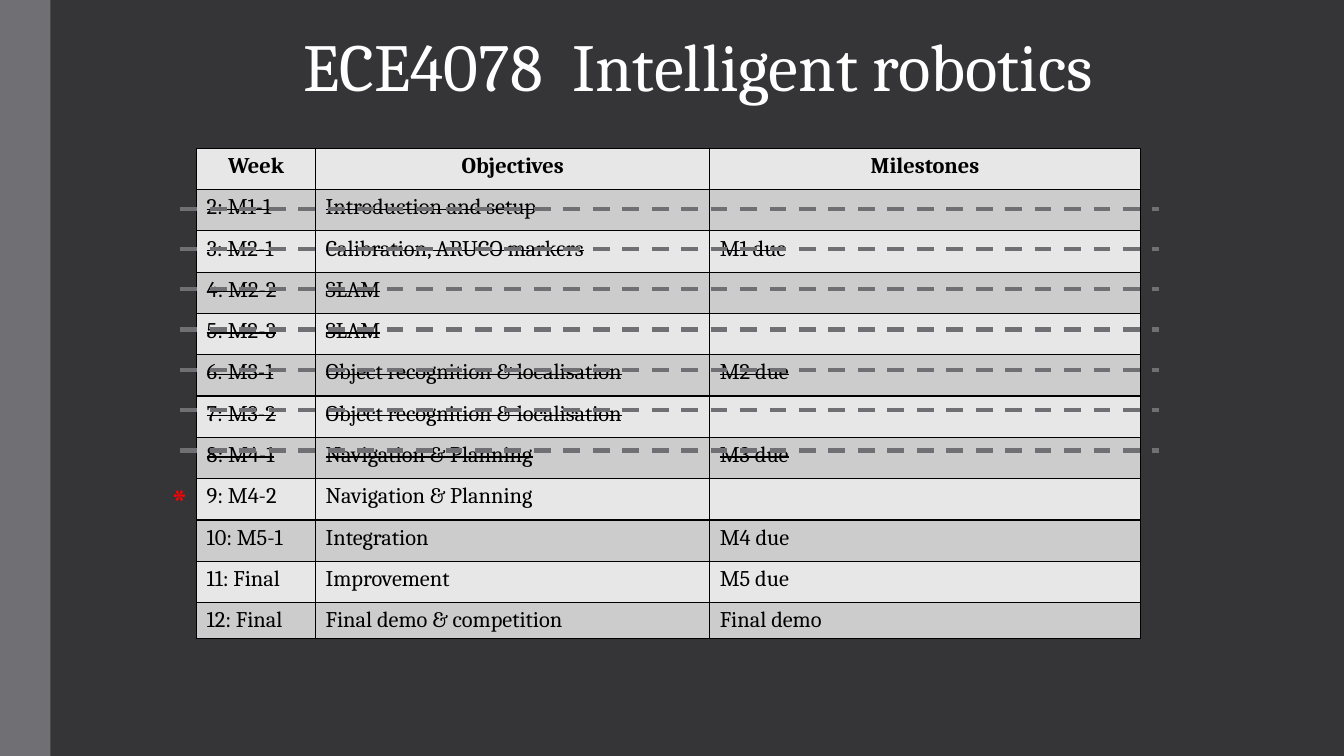
from dataclasses import dataclass

from lxml import etree
from pptx import Presentation
from pptx.dml.color import RGBColor
from pptx.enum import dml, shapes, text
from pptx.oxml.ns import qn
from pptx.util import Inches, Pt


@dataclass(frozen=True)
class Theme:
    font: str = "Cambria"
    background: str = "353537"
    accent: str = "6F6F74"
    title: str = "FFFFFF"
    ink: str = "000000"
    marker: str = "FF0000"
    bands: tuple = ("E7E7E7", "CCCCCC")
    title_size: int = 48
    marker_size: int = 28
    table_size: int = 16


THEME = Theme()
HEADINGS = ("Week", "Objectives", "Milestones")
SCHEDULE = (
    ("2: M1-1", "Introduction and setup", ""),
    ("3: M2-1", "Calibration, ARUCO markers", "M1 due"),
    ("4: M2-2", "SLAM", ""),
    ("5: M2-3", "SLAM", ""),
    ("6: M3-1", "Object recognition & localisation", "M2 due"),
    ("7: M3-2", "Object recognition & localisation", ""),
    ("8: M4-1", "Navigation & Planning", "M3 due"),
    ("9: M4-2", "Navigation & Planning", ""),
    ("10: M5-1", "Integration", "M4 due"),
    ("11: Final", "Improvement", "M5 due"),
    ("12: Final", "Final demo & competition", "Final demo"),
)
WEEKS_DONE = 7
COLUMN_WIDTHS = (1.18, 3.91, 4.27)
ROW_HEIGHT, LAST_ROW_HEIGHT = 0.41, 0.36
FIRST_STRIKE, STRIKE_STEP = 2.07, 0.4


def rgb(colour):
    return RGBColor.from_string(colour)


def add_run(paragraph, words, size, colour, bold=False, struck=False):
    run = paragraph.add_run()
    run.text = words
    run.font.name = THEME.font
    run.font.size = Pt(size)
    run.font.bold = bold
    run.font.color.rgb = rgb(colour)
    if struck:
        run.font._element.set("strike", "sngStrike")


def add_side_bar(slide):
    bar = slide.shapes.add_shape(
        shapes.MSO_SHAPE.RECTANGLE, 0, 0, Inches(0.5), Inches(7.5))
    bar.shadow.inherit = False
    bar.fill.solid()
    bar.fill.fore_color.rgb = rgb(THEME.accent)
    bar.line.fill.background()


def set_title(slide, words):
    title = slide.shapes.title
    title.left, title.top = Inches(0.52), Inches(0.19)
    title.width, title.height = Inches(12.81), Inches(0.91)
    frame = title.text_frame
    frame.auto_size = text.MSO_AUTO_SIZE.NONE
    frame.vertical_anchor = text.MSO_ANCHOR.TOP
    heading = frame.paragraphs[0]
    heading.alignment = text.PP_ALIGN.CENTER
    heading.line_spacing = 1.0
    add_run(heading, words, THEME.title_size, THEME.title)


def set_borders(cell):
    """Draw all four cell edges; they must precede the fill in the XML."""
    properties = cell._tc.get_or_add_tcPr()
    for position, edge in enumerate(("a:lnL", "a:lnR", "a:lnT", "a:lnB")):
        line = etree.Element(qn(edge), w=str(Pt(1)))
        fill = etree.SubElement(line, qn("a:solidFill"))
        etree.SubElement(fill, qn("a:srgbClr"), val=THEME.ink)
        properties.insert(position, line)


def fill_cell(cell, words, band, heading, struck):
    cell.fill.solid()
    cell.fill.fore_color.rgb = rgb(band)
    set_borders(cell)
    paragraph = cell.text_frame.paragraphs[0]
    paragraph.font.size = Pt(THEME.table_size)
    if heading:
        paragraph.alignment = text.PP_ALIGN.CENTER
    if words:
        add_run(paragraph, words, THEME.table_size, THEME.ink, heading, struck)


def add_schedule(slide):
    rows = (HEADINGS,) + SCHEDULE
    height = ROW_HEIGHT * len(SCHEDULE) + LAST_ROW_HEIGHT
    schedule = slide.shapes.add_table(
        len(rows), len(HEADINGS), Inches(1.95), Inches(1.47),
        Inches(sum(COLUMN_WIDTHS)), Inches(height)).table
    schedule.first_row = schedule.horz_banding = False
    for column, width in zip(schedule.columns, COLUMN_WIDTHS):
        column.width = Inches(width)
    for row in schedule.rows:
        row.height = Inches(ROW_HEIGHT)
    schedule.rows[len(SCHEDULE)].height = Inches(LAST_ROW_HEIGHT)
    for week, entries in enumerate(rows):
        for column, words in enumerate(entries):
            fill_cell(schedule.cell(week, column), words, THEME.bands[week % 2],
                      heading=week == 0, struck=1 <= week <= WEEKS_DONE)


def add_current_week_marker(slide):
    marker = slide.shapes.add_textbox(
        Inches(1.6), Inches(4.69), Inches(0.36), Inches(0.57))
    marker.text_frame.word_wrap = True
    add_run(marker.text_frame.paragraphs[0], "*", THEME.marker_size, THEME.marker)


def add_strike_line(slide, height):
    strike = slide.shapes.add_connector(
        shapes.MSO_CONNECTOR.STRAIGHT,
        Inches(1.79), Inches(height), Inches(11.5), Inches(height))
    strike.line.color.rgb = rgb(THEME.accent)
    strike.line.width = Pt(3)
    strike.line.dash_style = dml.MSO_LINE.DASH
    etree.SubElement(strike._element.spPr, qn("a:effectLst"))


def main():
    deck = Presentation()
    deck.slide_width, deck.slide_height = Inches(13.33), Inches(7.5)
    slide = deck.slides.add_slide(deck.slide_layouts.get_by_name("Title Only"))
    slide.background.fill.solid()
    slide.background.fill.fore_color.rgb = rgb(THEME.background)
    add_side_bar(slide)
    set_title(slide, "ECE4078  Intelligent robotics")
    add_schedule(slide)
    add_current_week_marker(slide)
    for week in range(WEEKS_DONE):
        add_strike_line(slide, FIRST_STRIKE + STRIKE_STEP * week)
    deck.save("out.pptx")


if __name__ == "__main__":
    main()
